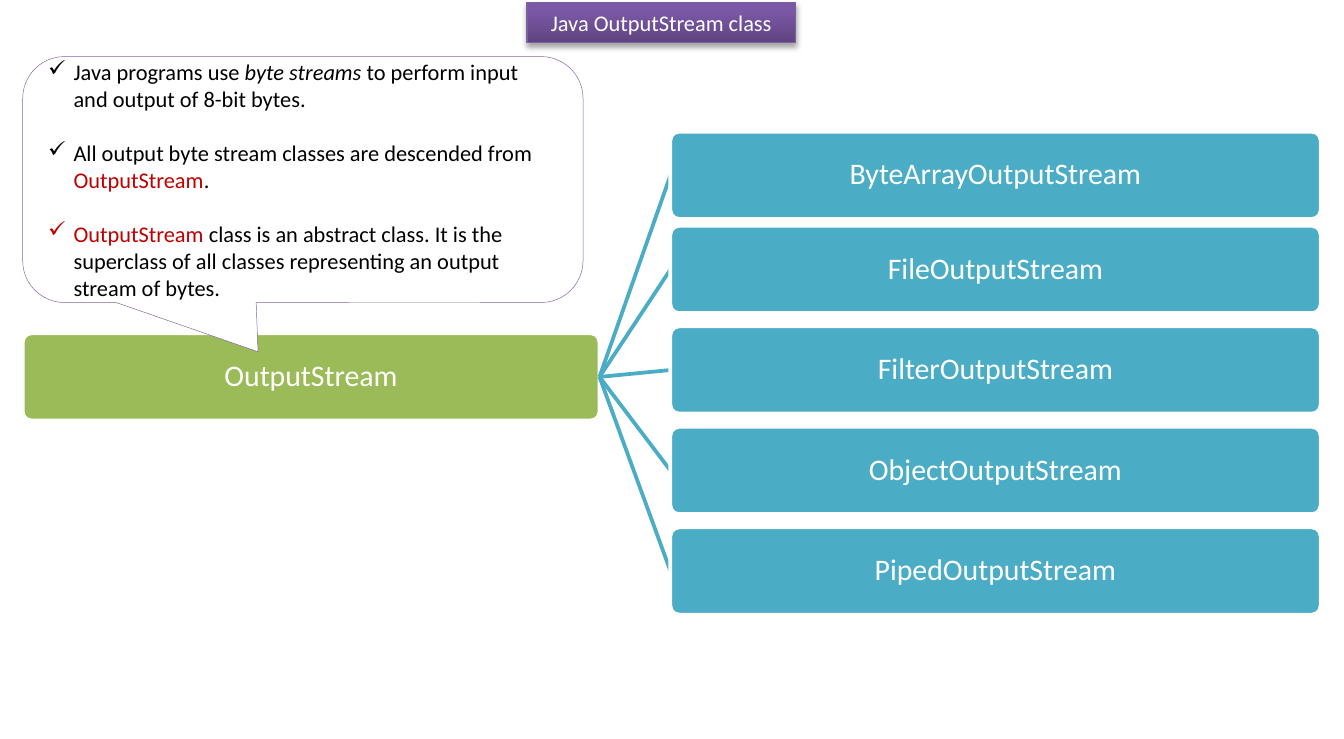
from dataclasses import dataclass

from lxml import etree
from pptx import Presentation
from pptx.dml.color import RGBColor
from pptx.enum.shapes import MSO_CONNECTOR, MSO_SHAPE
from pptx.enum.text import MSO_ANCHOR, MSO_AUTO_SIZE, PP_ALIGN
from pptx.oxml.ns import qn
from pptx.util import Cm, Pt

ROUNDED = MSO_SHAPE.ROUNDED_RECTANGLE
CALLOUT = MSO_SHAPE.ROUNDED_RECTANGULAR_CALLOUT
STRAIGHT = MSO_CONNECTOR.STRAIGHT
TOP, MIDDLE = MSO_ANCHOR.TOP, MSO_ANCHOR.MIDDLE
LEFT, CENTER = PP_ALIGN.LEFT, PP_ALIGN.CENTER
NO_AUTOFIT = MSO_AUTO_SIZE.NONE

TITLE = "Java OutputStream class"
ROOT = "OutputStream"
SUBCLASSES = [
    "ByteArrayOutputStream",
    "FileOutputStream",
    "FilterOutputStream",
    "ObjectOutputStream",
    "PipedOutputStream",
]
NOTES = [
    [("Java programs use\u00a0", ""), ("byte streams", "italic"),
     ("\u00a0to perform input and output of 8-bit bytes.", "")],
    [("All output byte stream classes are descended from ", ""),
     ("OutputStream", "accent"), (".", "")],
    [("OutputStream ", "accent"),
     ("class is an abstract class. It is the superclass of all classes "
      "representing an output stream of bytes.", "")],
]


@dataclass(frozen=True)
class Theme:
    font: str = "Calibri"
    small: int = 12
    large: int = 16
    white: str = "FFFFFF"
    black: str = "000000"
    accent: str = "C00000"
    root: str = "9BBB59"
    subclass: str = "4BACC6"
    callout_line: str = "8064A2"
    title_line: str = "7D60A0"
    title_stops: tuple = ((0, "5F4480"), (80, "7B58A6"), (100, "7C57A8"))


THEME = Theme()

TITLE_AREA = (9.96, 0.05, 5.08, 0.76)
CALLOUT_AREA = (0.43, 1.07, 10.59, 4.65)
ROOT_LEFT, ROOT_TOP, ROOT_WIDTH = 0.43, 6.3, 10.9
SUB_LEFT, SUB_WIDTH = 12.67, 12.29
NODE_HEIGHT = 1.65
FIRST_TOP, SECOND_TOP, ROW_PITCH = 2.49, 4.27, 1.9


def rgb(value):
    return RGBColor.from_string(value)


def add_span(para, text, size, color, italic=False):
    span = para.add_run()
    span.text = text
    span.font.name = THEME.font
    span.font.size = Pt(size)
    span.font.italic = italic
    span.font.color.rgb = rgb(color)


def set_line(line, color, width):
    line.color.rgb = rgb(color)
    line.width = Pt(width)


def add_box(page, kind, area, fill, line, width):
    box = page.shapes.add_shape(kind, *map(Cm, area))
    box.shadow.inherit = False
    box.fill.solid()
    box.fill.fore_color.rgb = rgb(fill)
    set_line(box.line, line, width)
    box.text_frame.word_wrap = True
    box.text_frame.vertical_anchor = MIDDLE
    return box


def add_node(page, text, left, top, width, fill):
    box = add_box(page, ROUNDED, (left, top, width, NODE_HEIGHT), fill, THEME.white, 2)
    box.adjustments[0] = 0.1
    frame = box.text_frame
    frame.margin_left = frame.margin_right = Cm(0.03)
    frame.margin_top = frame.margin_bottom = Cm(0.03)
    para = frame.paragraphs[0]
    para.alignment = CENTER
    para.line_spacing = 0.9
    add_span(para, text, THEME.large, THEME.white)


def add_branch(page, start, end):
    branch = page.shapes.add_connector(STRAIGHT, *map(Cm, start + end))
    set_line(branch.line, THEME.subclass, 2)
    etree.SubElement(branch._element.spPr, qn("a:effectLst"))


def format_title(title):
    title.left, title.top, title.width, title.height = map(Cm, TITLE_AREA)
    title.fill.gradient()
    title.fill.gradient_angle = 90
    set_line(title.line, THEME.title_line, 0.75)
    title.shadow.inherit = False

    properties = title._element.spPr
    stops = properties.find(".//" + qn("a:gsLst"))
    for stop in list(stops):
        stops.remove(stop)
    for position, color in THEME.title_stops:
        stop = etree.SubElement(stops, qn("a:gs"), pos=str(position * 1000))
        etree.SubElement(stop, qn("a:srgbClr"), val=color)

    shadow = etree.SubElement(
        properties.find(qn("a:effectLst")), qn("a:outerShdw"),
        blurRad=str(Pt(3.1)), dist=str(Pt(1.8)), dir="5400000", rotWithShape="0")
    tint = etree.SubElement(shadow, qn("a:srgbClr"), val=THEME.black)
    etree.SubElement(tint, qn("a:alpha"), val="35000")

    frame = title.text_frame
    frame.auto_size = NO_AUTOFIT
    frame.word_wrap = True
    frame.vertical_anchor = TOP
    para = frame.paragraphs[0]
    para.alignment = CENTER
    add_span(para, TITLE, THEME.small, THEME.white)


def add_hierarchy(page):
    add_node(page, ROOT, ROOT_LEFT, ROOT_TOP, ROOT_WIDTH, THEME.root)
    start = (ROOT_LEFT + ROOT_WIDTH, ROOT_TOP + NODE_HEIGHT / 2)
    for row, name in enumerate(SUBCLASSES):
        top = SECOND_TOP + (row - 1) * ROW_PITCH if row else FIRST_TOP
        add_branch(page, start, (SUB_LEFT, top + NODE_HEIGHT / 2))
        add_node(page, name, SUB_LEFT, top, SUB_WIDTH, THEME.subclass)


def add_callout(page):
    box = add_box(page, CALLOUT, CALLOUT_AREA, THEME.white, THEME.callout_line, 0.25)
    for index, value in enumerate((-0.08, 0.7, 0.17)):
        box.adjustments[index] = value
    frame = box.text_frame
    for index, note in enumerate(NOTES):
        para = frame.add_paragraph() if index else frame.paragraphs[0]
        layout = para._p.get_or_add_pPr()
        layout.set("marL", str(Cm(0.48)))
        layout.set("indent", str(-Cm(0.48)))
        etree.SubElement(layout, qn("a:buChar"), char="✓")
        para.alignment = LEFT
        if index:
            para.space_before = Pt(14.6)
        for text, style in note:
            color = THEME.accent if style == "accent" else THEME.black
            add_span(para, text, THEME.small, color, style == "italic")


def main():
    deck = Presentation()
    deck.slide_width, deck.slide_height = Cm(25.4), Cm(13.97)
    page = deck.slides.add_slide(deck.slide_layouts[5])
    format_title(page.shapes.title)
    add_hierarchy(page)
    add_callout(page)
    deck.save("out.pptx")


if __name__ == "__main__":
    main()
